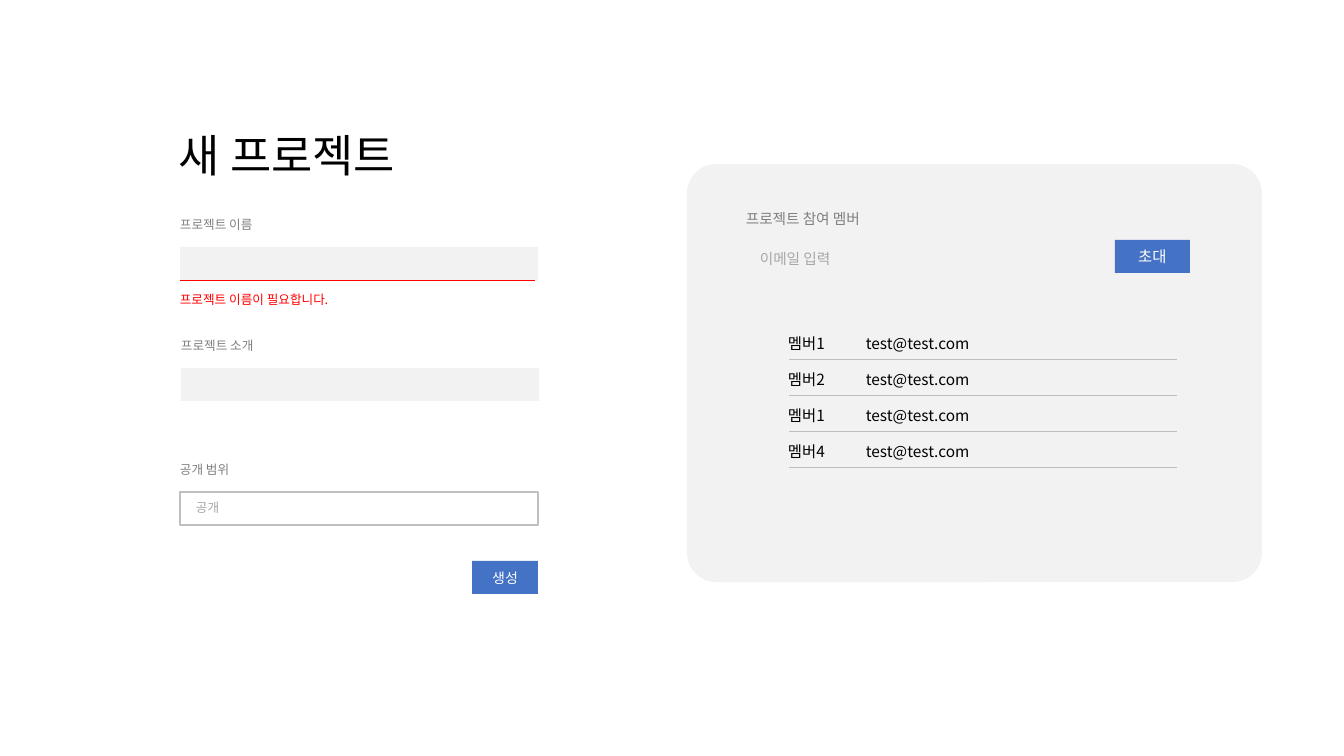
from lxml import etree
from pptx import Presentation
from pptx.dml.color import RGBColor
from pptx.enum.shapes import MSO_CONNECTOR, MSO_SHAPE
from pptx.enum.text import MSO_ANCHOR, PP_ALIGN
from pptx.oxml.ns import qn
from pptx.util import Pt

EMU_PER_PIXEL = 914400 / 100.8
RECTANGLE = MSO_SHAPE.RECTANGLE
ROUNDED = MSO_SHAPE.ROUNDED_RECTANGLE
STRAIGHT = MSO_CONNECTOR.STRAIGHT
MIDDLE = MSO_ANCHOR.MIDDLE
CENTER = PP_ALIGN.CENTER

FONT = "Noto Sans CJK KR"
BLACK, WHITE, RED, BLUE = "000000", "FFFFFF", "FF0000", "4472C4"
LABEL_GRAY, HINT_GRAY, RULE_GRAY, PALE_GRAY = "808080", "A6A6A6", "BFBFBF", "F2F2F2"


def px(*pixels):
    """Turn pixel lengths into EMU."""
    return [round(pixel * EMU_PER_PIXEL) for pixel in pixels]


def color(hex_string):
    """Turn a hex string into a colour."""
    return RGBColor.from_string(hex_string)


class FormSlide:
    """Holds the style and the current slide."""

    def __init__(self, slide, font):
        """Keep the slide and the font of its text."""
        self.slide = slide
        self.font = font

    def run(self, paragraph, text, size, ink):
        """Add one run with Latin and East Asian font."""
        run = paragraph.add_run()
        run.text = text
        run.font.size = Pt(size)
        run.font.name = self.font
        run.font.color.rgb = color(ink)
        east_asian = etree.SubElement(run.font._element, qn("a:ea"))
        east_asian.set("typeface", self.font)

    def text(self, box, text, size, ink=BLACK):
        """Add a left-aligned text box."""
        frame = self.slide.shapes.add_textbox(*px(*box)).text_frame
        frame.word_wrap = True
        self.run(frame.paragraphs[0], text, size, ink)

    def shape(self, box, fill=None, outline=None, kind=RECTANGLE):
        """Add a flat shape with an optional fill and outline."""
        shape = self.slide.shapes.add_shape(kind, *px(*box))
        shape.shadow.inherit = False
        if fill:
            shape.fill.solid()
            shape.fill.fore_color.rgb = color(fill)
        else:
            shape.fill.background()
        if outline:
            shape.line.color.rgb = color(outline)
            shape.line.width = Pt(1)
        else:
            shape.line.fill.background()
        return shape

    def button(self, box, text, size):
        """Add a blue button with a centred caption."""
        frame = self.shape(box, BLUE).text_frame
        frame.vertical_anchor = MIDDLE
        paragraph = frame.paragraphs[0]
        paragraph.alignment = CENTER
        self.run(paragraph, text, size, WHITE)

    def rule(self, left, right, y, ink):
        """Add a thin horizontal line."""
        line = self.slide.shapes.add_connector(STRAIGHT, *px(left, y, right, y))
        line.line.color.rgb = color(ink)
        line.line.width = Pt(0.5)
        etree.SubElement(line._element.spPr, qn("a:effectLst"))

    def field(self, left, top, label, fill=None, outline=None):
        """Add an input field with its label above."""
        self.shape((left, top, 358, 33), fill, outline)
        self.text((left - 10, top - 35, 166, 25), label, 9, LABEL_GRAY)


presentation = Presentation()
presentation.slide_width, presentation.slide_height = px(1344, 756)
form = FormSlide(presentation.slides.add_slide(presentation.slide_layouts[6]), FONT)

# Project form
form.text((169, 123, 287, 65), "새 프로젝트", 32)
form.field(180, 247, "프로젝트 이름", fill=PALE_GRAY)
form.rule(180, 535, 280, RED)
form.text((170, 287, 182, 25), "프로젝트 이름이 필요합니다.", 9, RED)
form.field(181, 368, "프로젝트 소개", fill=PALE_GRAY)
form.field(180, 492, "공개 범위", outline=RULE_GRAY)
form.text((186, 495, 166, 25), "공개", 9, HINT_GRAY)
form.button((472, 561, 66, 33), "생성", 10)

# Member panel
panel = form.shape((687, 164, 575, 418), PALE_GRAY, kind=ROUNDED)
panel.adjustments[0] = 0.07
form.text((736, 205, 187, 28), "프로젝트 참여 멤버", 10.5, LABEL_GRAY)
form.text((750, 245, 132, 28), "이메일 입력", 10.5, HINT_GRAY)
form.button((1115, 240, 75, 33), "초대", 11)

for row, member in enumerate(["멤버1", "멤버2", "멤버1", "멤버4"]):
    row_top = 329 + 36 * row
    form.text((778, row_top, 109, 29), member, 11)
    form.text((856, row_top, 132, 29), "test@test.com", 11)
    form.rule(789, 1177, row_top + 30, RULE_GRAY)

presentation.save("out.pptx")
